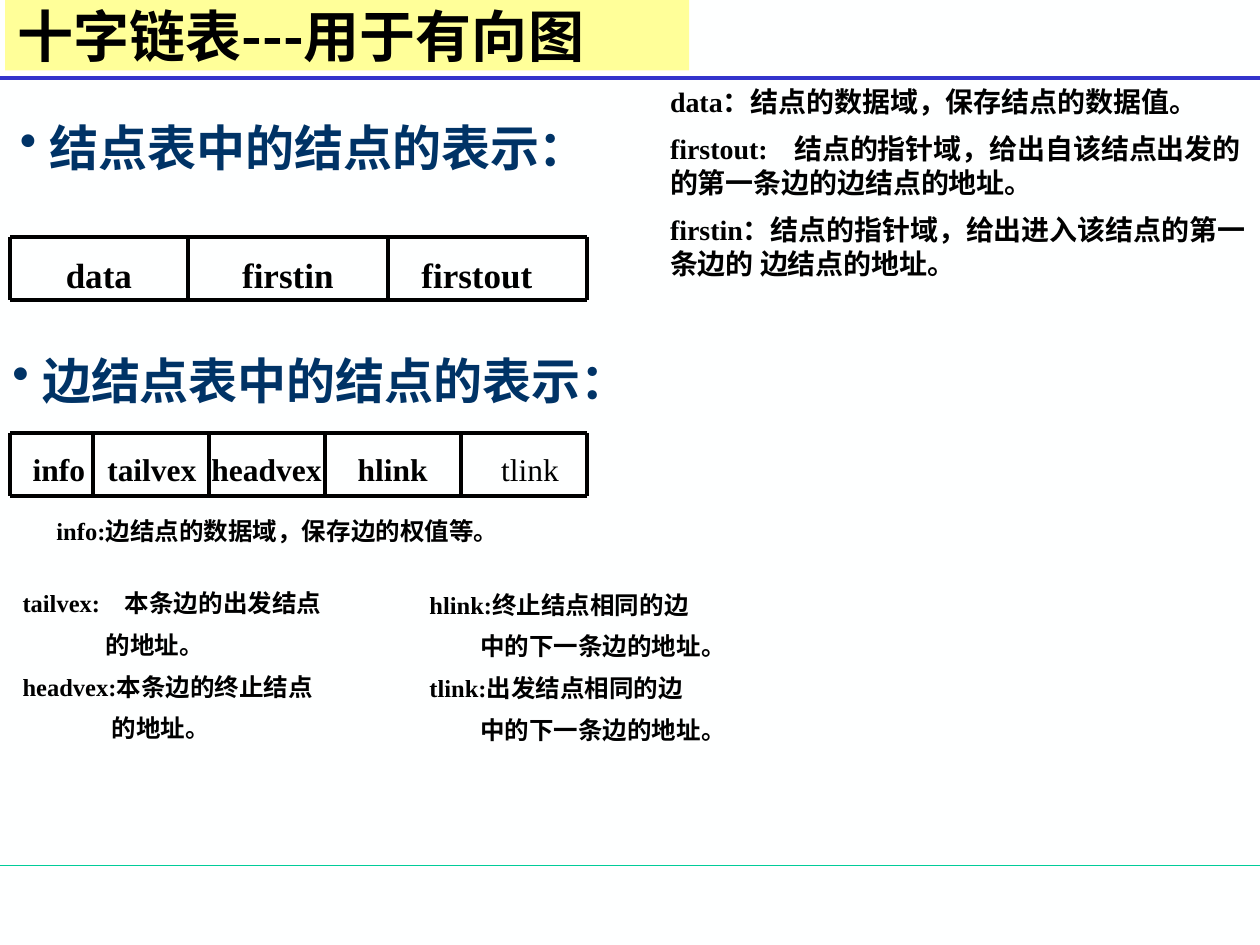
from dataclasses import dataclass

from lxml.etree import SubElement
from pptx import Presentation
from pptx.dml.color import RGBColor
from pptx.enum.shapes import MSO_CONNECTOR as Connector, MSO_SHAPE as Shape
from pptx.enum.text import MSO_ANCHOR as Anchor, MSO_AUTO_SIZE as AutoSize, PP_ALIGN as Align
from pptx.oxml.ns import qn
from pptx.util import Pt

BLACK = RGBColor(0x00, 0x00, 0x00)
NAVY = RGBColor(0x00, 0x33, 0x66)
BLUE = RGBColor(0x33, 0x33, 0xCC)
GREEN = RGBColor(0x00, 0xCC, 0x99)
YELLOW = RGBColor(0xFF, 0xFF, 0x99)
PAPER = RGBColor(0xFE, 0xFF, 0xFF)
LATIN = "Times New Roman"
CHINESE = "Noto Sans CJK SC"
PAGE_WIDTH, PAGE_HEIGHT = 720, 540
CELL_HEIGHT = 36
LABEL_WIDTH = 90


@dataclass
class Line:
    text: str
    indent: float = 0
    tab: float = 0


@dataclass
class Label:
    text: str
    left: float
    align: Align = Align.CENTER
    bold: bool = True


@dataclass
class Record:
    top: float
    edges: list[float]
    labels: list[Label]
    size: float
    label_height: float


@dataclass
class Note:
    left: float
    top: float
    width: float
    height: float
    size: float
    lines: list[Line]
    color: RGBColor = BLACK
    bullet: bool = False


RECORDS = [
    Record(135.4, [5.8, 107.3, 221.8, 335.5],
           [Label("data", 11.5), Label("firstin", 119.5), Label("firstout", 227.5)],
           20, 31.7),
    Record(247.7, [5.8, 53.3, 119.5, 185.8, 263.5, 335.5],
           [Label("info", 11.5, Align.LEFT), Label("tailvex", 41.8), Label("headvex", 107.3),
            Label("hlink", 179.3), Label("tlink", 257.8, bold=False)],
           18, 28.8),
]

NOTES = [
    Note(0, 196.6, 417.6, 41, 28, [Line("边结点表中的结点的表示：")], NAVY, True),
    Note(4.3, 63.4, 360, 41, 28, [Line("结点表中的结点的表示：")], NAVY, True),
    Note(375.8, 44.6, 344.2, 123.8, 16, [
        Line("data：结点的数据域，保存结点的数据值。"),
        Line("firstout:\t结点的指针域，给出自该结点出发的的第一条边的边结点的地址。", tab=71),
        Line("firstin：结点的指针域，给出进入该结点的第一条边的 边结点的地址。"),
    ]),
    Note(25.2, 291.6, 269.3, 24.5, 14, [Line("info:边结点的数据域，保存边的权值等。")]),
    Note(5.8, 332.6, 232.6, 100.8, 14, [
        Line("tailvex:\t本条边的出发结点", tab=58.5),
        Line("的地址。", indent=47.5),
        Line("headvex:本条边的终止结点"),
        Line("的地址。", indent=51),
    ]),
    Note(238.3, 333.4, 203.8, 99.4, 14, [
        Line("hlink:终止结点相同的边"),
        Line("中的下一条边的地址。", indent=29),
        Line("tlink:出发结点相同的边"),
        Line("中的下一条边的地址。", indent=29),
    ]),
]


def write(para, text: str, *, size: float, color: RGBColor = BLACK, bold: bool = True,
          font: str = LATIN, align: Align = Align.LEFT, before: float = 0,
          indent: float = 0, tab: float = 0, bullet: bool = False) -> None:
    para.alignment = align
    para.space_before = Pt(before)
    properties = para._p.get_or_add_pPr()
    if indent:
        properties.set("marL", str(Pt(indent)))
    if bullet:
        properties.set("marL", str(Pt(17)))
        properties.set("indent", str(-Pt(17)))
        SubElement(properties, qn("a:buChar"), char="•")
    if tab:
        stops = SubElement(properties, qn("a:tabLst"))
        SubElement(stops, qn("a:tab"), pos=str(Pt(tab)), algn="l")
    span = para.add_run()
    span.text = text
    span.font.size = Pt(size)
    span.font.bold = bold
    span.font.color.rgb = color
    span.font.name = font
    SubElement(span._r.get_or_add_rPr(), qn("a:ea"), typeface=CHINESE)


def add_line(page, x1: float, y1: float, x2: float, y2: float,
             color: RGBColor = BLACK, width: float = 2.25) -> None:
    line = page.shapes.add_connector(Connector.STRAIGHT, Pt(x1), Pt(y1), Pt(x2), Pt(y2))
    line.line.color.rgb = color
    line.line.width = Pt(width)
    SubElement(line._element.spPr, qn("a:effectLst"))


def add_frame(page, left: float, top: float, width: float, height: float):
    box = page.shapes.add_textbox(Pt(left), Pt(top), Pt(width), Pt(height))
    frame = box.text_frame
    frame.word_wrap = True
    frame.auto_size = AutoSize.SHAPE_TO_FIT_TEXT
    return frame


def add_note(page, note: Note) -> None:
    frame = add_frame(page, note.left, note.top, note.width, note.height)
    for index, line in enumerate(note.lines):
        para = frame.add_paragraph() if index else frame.paragraphs[0]
        write(para, line.text, size=note.size, color=note.color, bullet=note.bullet,
              indent=line.indent, tab=line.tab, before=note.size / 2 if index else 0)


def add_record(page, record: Record) -> None:
    bottom = record.top + CELL_HEIGHT
    for y in (record.top, bottom):
        add_line(page, record.edges[0], y, record.edges[-1], y)
    for x in record.edges:
        add_line(page, x, record.top, x, bottom)
    for label in record.labels:
        frame = add_frame(page, label.left, record.top + 5.75, LABEL_WIDTH, record.label_height)
        write(frame.paragraphs[0], label.text, size=record.size,
              align=label.align, bold=label.bold)


def add_title(page, text: str) -> None:
    box = page.shapes.add_shape(Shape.RECTANGLE, Pt(2.9), Pt(0), Pt(391), Pt(40.3))
    box.shadow.inherit = False
    box.fill.solid()
    box.fill.fore_color.rgb = YELLOW
    box.line.fill.background()
    box.text_frame.word_wrap = True
    box.text_frame.vertical_anchor = Anchor.MIDDLE
    write(box.text_frame.paragraphs[0], text, size=32, font=CHINESE)


def main() -> None:
    deck = Presentation()
    deck.slide_width, deck.slide_height = Pt(PAGE_WIDTH), Pt(PAGE_HEIGHT)
    page = deck.slides.add_slide(deck.slide_layouts[6])
    page.background.fill.solid()
    page.background.fill.fore_color.rgb = PAPER
    add_line(page, 0, 494.6, PAGE_WIDTH, 494.6, GREEN, 0.75)
    add_line(page, 0, 44.6, PAGE_WIDTH, 44.6, BLUE)
    for record in RECORDS:
        add_record(page, record)
    for note in NOTES:
        add_note(page, note)
    add_title(page, "十字链表---用于有向图")
    deck.save("out.pptx")


if __name__ == "__main__":
    main()
